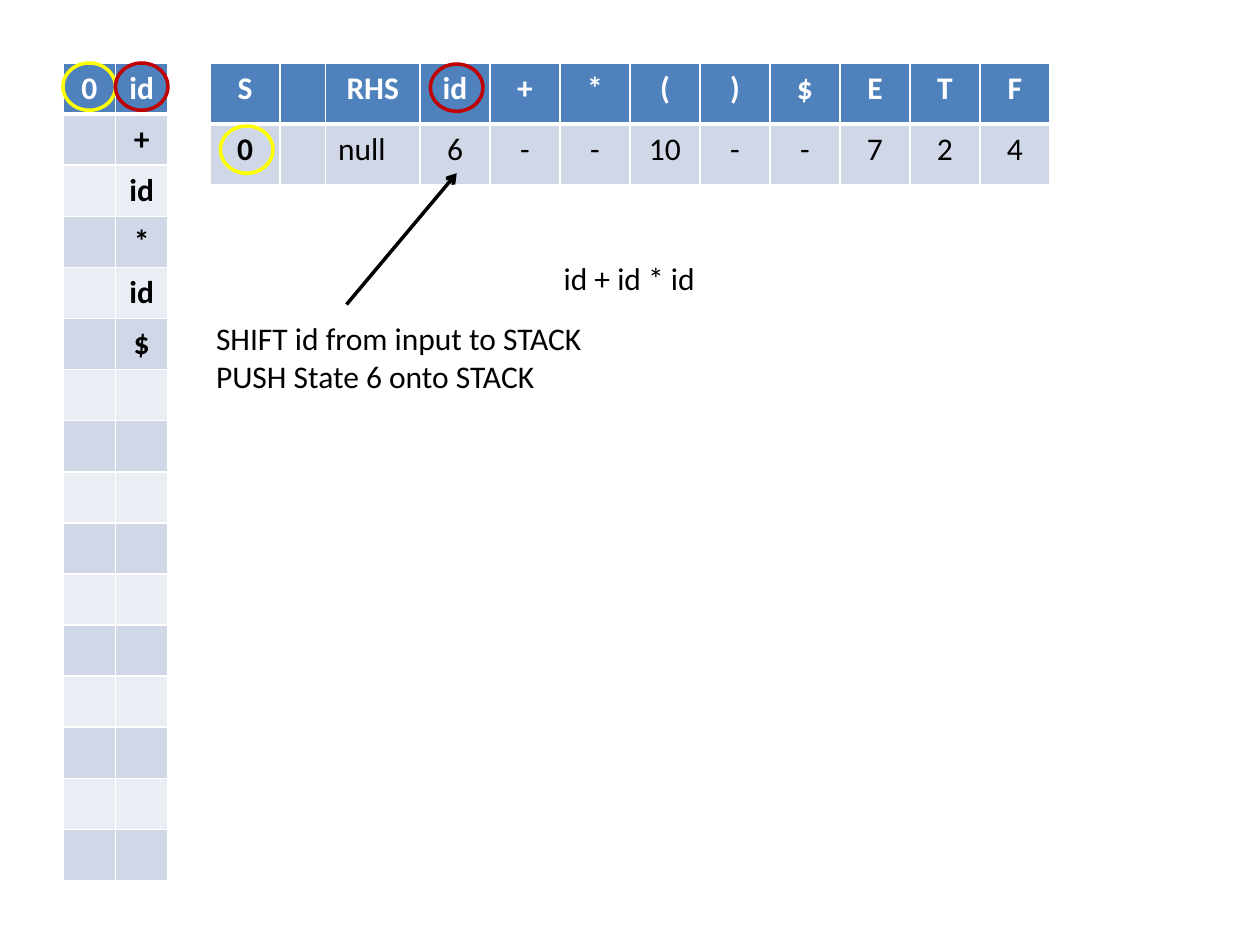
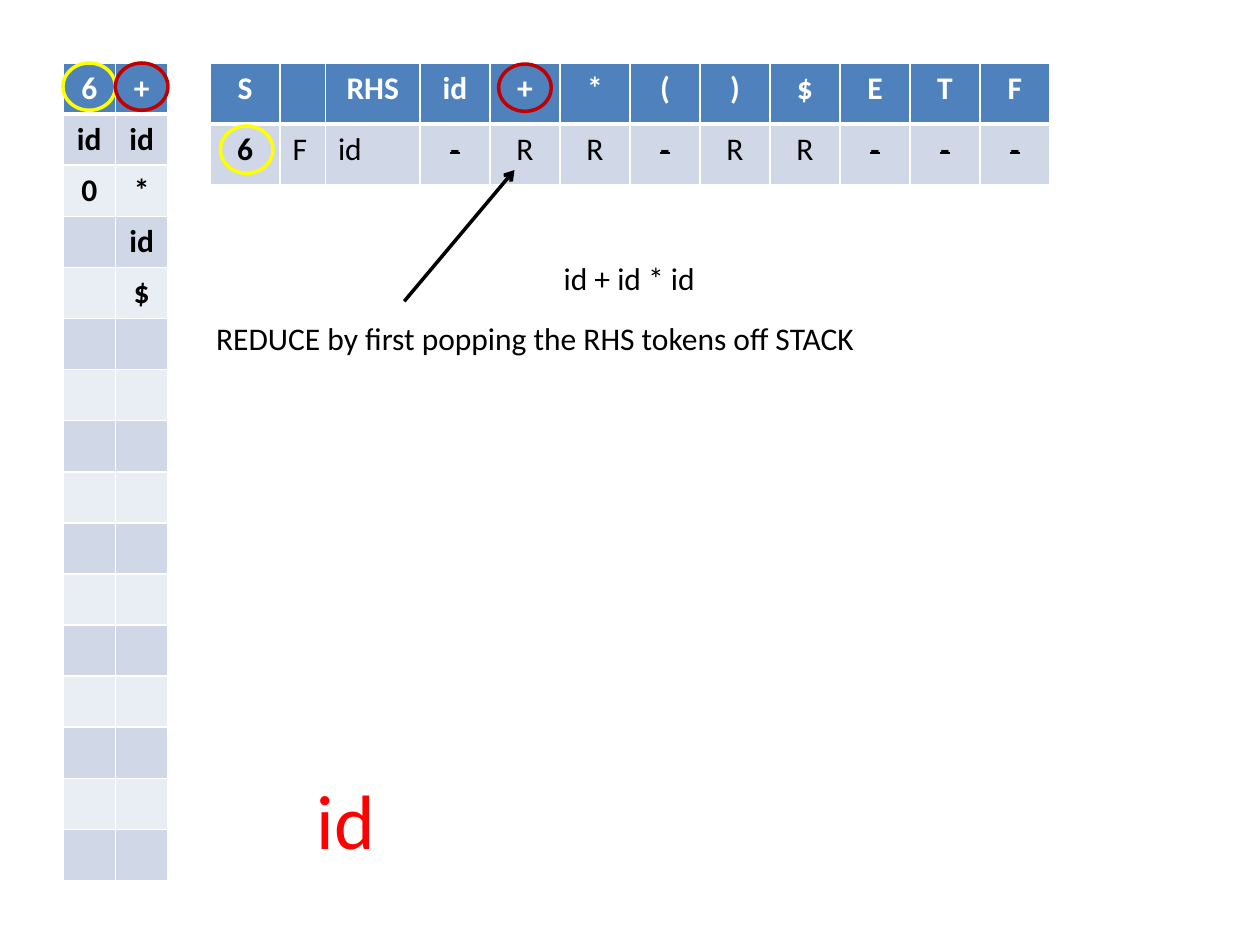
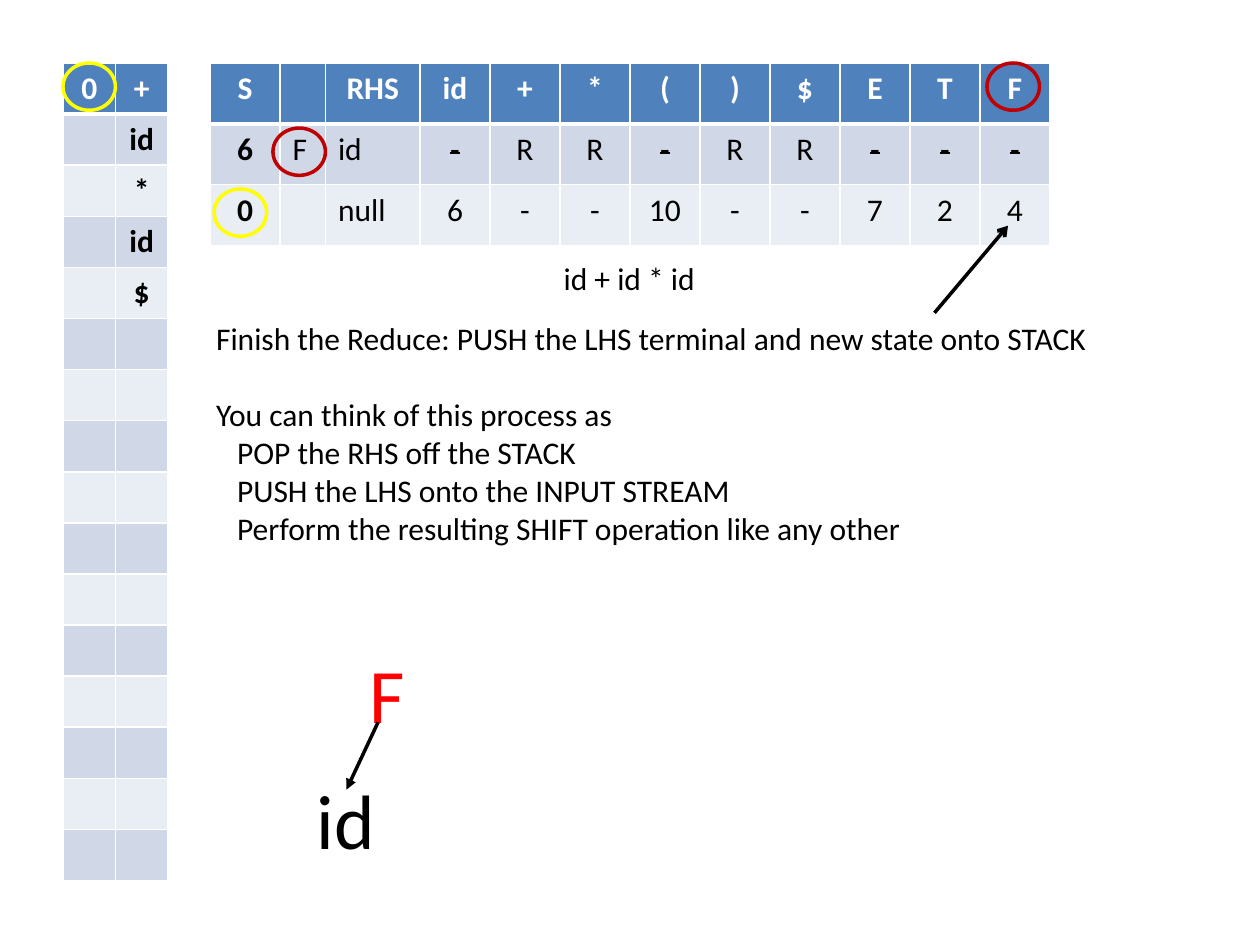
from itertools import zip_longest

from lxml.etree import SubElement
from pptx import Presentation
from pptx.dml.color import RGBColor
from pptx.enum.shapes import MSO_CONNECTOR, MSO_SHAPE
from pptx.enum.text import MSO_AUTO_SIZE, PP_ALIGN
from pptx.oxml.ns import qn
from pptx.util import Inches, Pt

BLACK = RGBColor(0x00, 0x00, 0x00)
WHITE = RGBColor(0xFF, 0xFF, 0xFF)
HEADER_BLUE = RGBColor(0x4F, 0x81, 0xBD)
BANDS = (RGBColor(0xD0, 0xD8, 0xE8), RGBColor(0xE9, 0xED, 0xF4))
STATE_YELLOW = RGBColor(0xFF, 0xFF, 0x00)
TOKEN_RED = RGBColor(0xC0, 0x00, 0x00)
NODE_RED = RGBColor(0xFF, 0x00, 0x00)

COLUMNS, ROWS = 120, 90  # grid over the 10 x 7.5 inch slide
STACK_DEPTH = 16
ACTION_WIDTH, RHS_WIDTH, PARSE_WIDTH = 20 / 3, 9, 80
LHS_WIDTH = PARSE_WIDTH - 10 * ACTION_WIDTH - RHS_WIDTH
PARSE_WIDTHS = [ACTION_WIDTH, LHS_WIDTH, RHS_WIDTH] + [ACTION_WIDTH] * 9

PARSE_HEADER = ["S", "", "RHS", "id", "+", "*", "(", ")", "$", "E", "T", "F"]
STATE_0 = ["0", "", "null", "6", "-", "-", "10", "-", "-", "7", "2", "4"]
STATE_6 = ["6", "F", "id", "-", "R", "R", "-", "R", "R", "-", "-", "-"]


def write_text(frame, lines, size=18, color=BLACK, bold=False, align=PP_ALIGN.LEFT,
               strike=False, indents=None, gaps=None):
    """Write one paragraph per line; indents and gaps map a line's index to a length."""
    for index, line in enumerate(lines):
        paragraph = frame.paragraphs[0] if index == 0 else frame.add_paragraph()
        paragraph.alignment = align
        if indents and index in indents:
            paragraph._p.get_or_add_pPr().set("marL", str(indents[index]))
        if gaps and index in gaps:
            paragraph.space_before = gaps[index]
        run = paragraph.add_run()
        run.text = line
        run.font.name, run.font.size = "Calibri", Pt(size)
        run.font.bold, run.font.color.rgb = bold, color
        if strike:
            run._r.get_or_add_rPr().set("strike", "sngStrike")


def draw_borders(cell, bottom):
    properties = cell._tc.get_or_add_tcPr()
    for side, width in (("lnL", 1), ("lnR", 1), ("lnT", 1), ("lnB", bottom)):
        border = SubElement(properties, qn(f"a:{side}"), w=str(Pt(width)))
        SubElement(SubElement(border, qn("a:solidFill")), qn("a:srgbClr"), val=str(WHITE))


class ParserDeck:
    def __init__(self):
        self.presentation = Presentation()
        self.presentation.slide_width = Inches(10)
        self.presentation.slide_height = Inches(7.5)
        self.slide = None

    def x(self, columns):
        return round(self.presentation.slide_width * columns / COLUMNS)

    def y(self, rows):
        return round(self.presentation.slide_height * rows / ROWS)

    def box(self, left, top, width, height):
        return self.x(left), self.y(top), self.x(width), self.y(height)

    def add_slide(self):
        self.slide = self.presentation.slides.add_slide(self.presentation.slide_layouts[6])

    def table(self, left, top, widths, row_height, rows, style_cell):
        """Draw a banded table; style_cell gives the text format of a body cell."""
        area = self.box(left, top, sum(widths), row_height * len(rows))
        table = self.slide.shapes.add_table(len(rows), len(widths), *area).table
        for column, width in zip(table.columns, widths):
            column.width = self.x(width)
        for r, row in enumerate(rows):
            table.rows[r].height = self.y(row_height)
            for c, value in enumerate(row):
                cell = table.cell(r, c)
                draw_borders(cell, bottom=1 if r else 3)
                cell.fill.solid()
                cell.fill.fore_color.rgb = BANDS[(r - 1) % 2] if r else HEADER_BLUE
                if value:
                    style = style_cell(row, c) if r else {"bold": True, "color": WHITE}
                    write_text(cell.text_frame, [value], **{"align": PP_ALIGN.CENTER, **style})

    def parse_table(self, *states):
        def style_cell(row, column):
            return {"bold": column == 0,
                    "align": PP_ALIGN.LEFT if column in (1, 2) else PP_ALIGN.CENTER,
                    "strike": row is STATE_6 and row[column] == "-"}

        self.table(20, 6, PARSE_WIDTHS, 5.8, [PARSE_HEADER, *states], style_cell)

    def stack_and_input(self, stack, tokens):
        rows = list(zip_longest(stack, tokens, range(STACK_DEPTH), fillvalue=""))
        self.table(6, 6, [5, 5], 4.8, [row[:2] for row in rows],
                   lambda row, column: {"bold": True})

    def text(self, left, top, width, height, *lines, wrap=True, **style):
        frame = self.slide.shapes.add_textbox(*self.box(left, top, width, height)).text_frame
        frame.word_wrap = wrap
        frame.auto_size = MSO_AUTO_SIZE.SHAPE_TO_FIT_TEXT
        write_text(frame, lines, **style)

    def explanation(self, width, height, *lines, **style):
        self.text(19.4, 29.8, width, height, *lines, wrap=False, **style)

    def tree_node(self, top, symbol, **style):
        self.text(29, top, 69, 10.1, symbol, size=44, **style)

    def ring(self, left, top, color):
        ring = self.slide.shapes.add_shape(MSO_SHAPE.OVAL, *self.box(left, top, 5, 4.5))
        ring.shadow.inherit = False
        ring.fill.background()
        ring.line.color.rgb, ring.line.width = color, Pt(2)

    def arrow(self, start, end, head="arrow"):
        arrow = self.slide.shapes.add_connector(
            MSO_CONNECTOR.STRAIGHT, self.x(start[0]), self.y(start[1]),
            self.x(end[0]), self.y(end[1]))
        arrow.line.color.rgb, arrow.line.width = BLACK, Pt(2)
        SubElement(arrow.line._get_or_add_ln(), qn("a:tailEnd"), type=head)
        SubElement(arrow._element.spPr, qn("a:effectLst"))

    def parser_step(self, states, stack, tokens, state_ring, token_rings):
        """Start a slide with both tables, the expression and the rings on current symbols."""
        self.add_slide()
        self.parse_table(*states)
        self.stack_and_input(stack, tokens)
        self.text(52.5, 24.1, 15.5, 4.8, "id + id * id")
        for left, top in [(6, 6), state_ring]:
            self.ring(left, top, STATE_YELLOW)
        for left, top in token_rings:
            self.ring(left, top, TOKEN_RED)


def main():
    deck = ParserDeck()

    deck.parser_step([STATE_0], ["0"], ["id", "+", "id", "*", "id", "$"],
                     (21, 12), [(11, 6), (41, 6.1)])
    deck.arrow((33, 29), (43.5, 16.5))
    deck.explanation(37.7, 8.5, "SHIFT id from input to STACK", "PUSH State 6 onto STACK")

    deck.parser_step([STATE_6], ["6", "id", "0"], ["+", "id", "*", "id", "$"],
                     (21, 12), [(11, 6), (47.5, 6.1)])
    deck.tree_node(73, "id", color=NODE_RED)
    deck.arrow((38.5, 28.7), (49, 16.2))
    deck.explanation(64, 4.8, "REDUCE by first popping the RHS tokens off STACK")

    deck.parser_step([STATE_6, STATE_0], ["0"], ["+", "id", "*", "id", "$"],
                     (20.4, 18), [(26, 12.2), (94, 6)])
    deck.tree_node(73, "id")
    deck.tree_node(61, "F", color=NODE_RED, indents={0: deck.x(5)})
    deck.arrow((36, 68.8), (33, 75.2), head="triangle")
    deck.arrow((89, 29.8), (96, 21.5))
    deck.explanation(
        86.3, 23,
        "Finish the Reduce: PUSH the LHS terminal and new state onto STACK",
        "You can think of this process as",
        "POP the RHS off the STACK",
        "PUSH the LHS onto the INPUT STREAM",
        "Perform the resulting SHIFT operation like any other",
        indents=dict.fromkeys((2, 3, 4), deck.x(2)), gaps={1: Pt(22)})

    deck.presentation.save("out.pptx")


if __name__ == "__main__":
    main()
